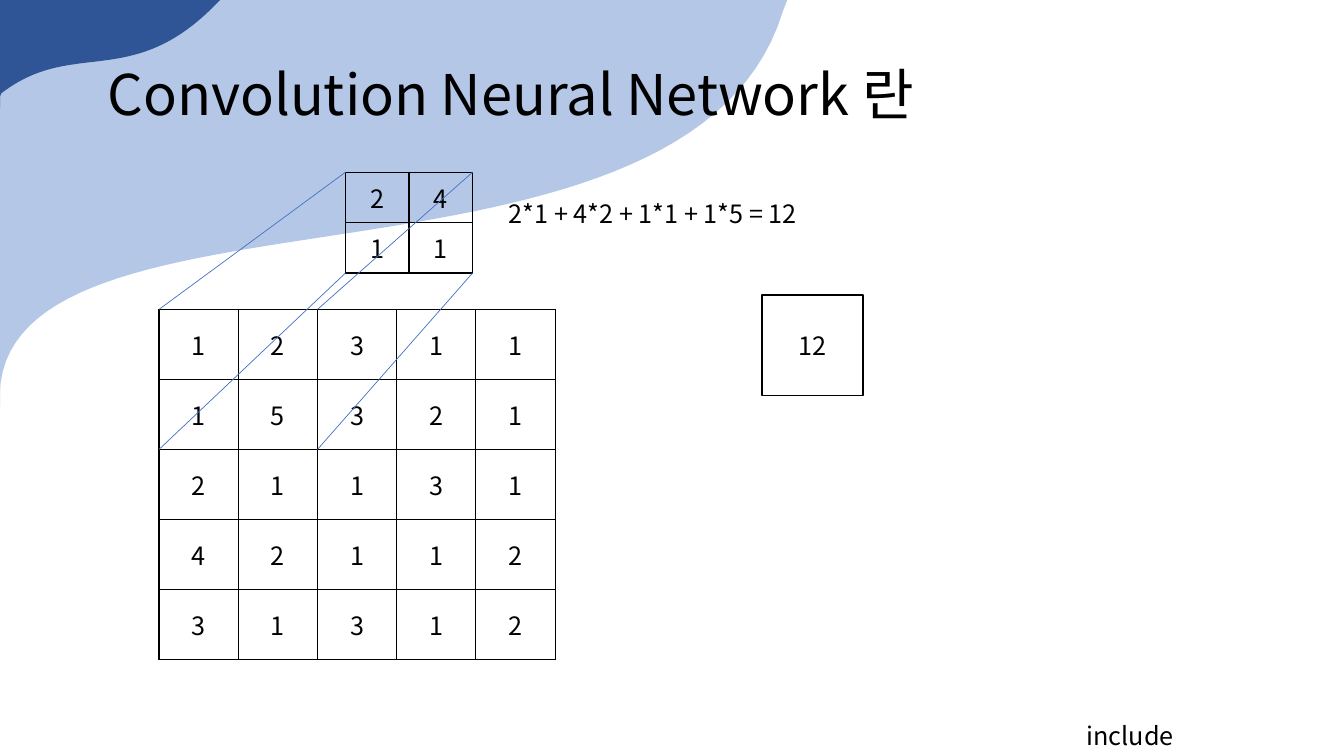
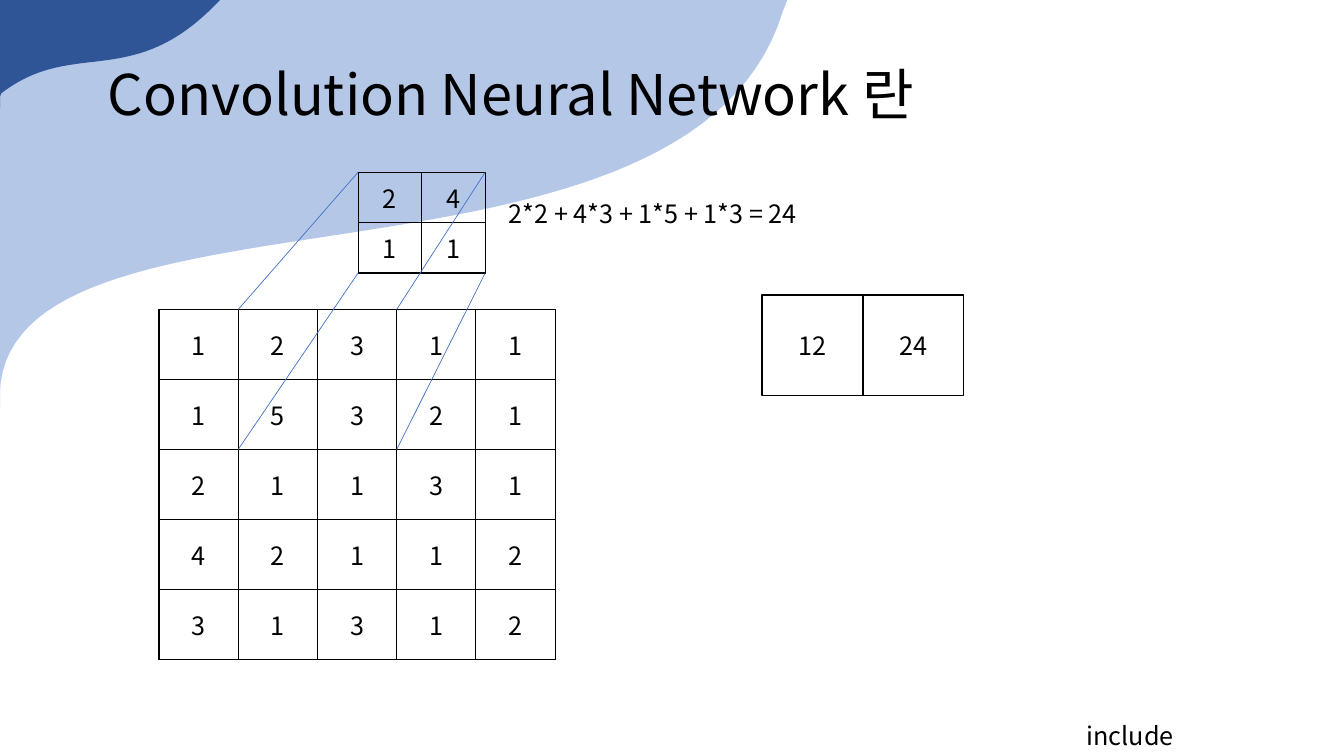
from itertools import product

from lxml import etree
from pptx import Presentation
from pptx.dml.color import RGBColor
from pptx.enum import shapes, text
from pptx.oxml import ns
from pptx.util import Pt

FONT = "Noto Sans CJK KR"
BLACK = RGBColor(0x00, 0x00, 0x00)
WHITE = RGBColor(0xFF, 0xFF, 0xFF)
LIGHT_BLUE = RGBColor(0xB4, 0xC7, 0xE7)
DARK_BLUE = RGBColor(0x2F, 0x55, 0x97)
LINE_BLUE = RGBColor(0x44, 0x72, 0xC4)

TITLE = "Convolution Neural Network 란"
FOOTER = "include"

# Corner waves: colour and the four Bézier points of the edge
WAVES = [
    (LIGHT_BLUE, [(562.3, -3.6), (508.3, 235.4), (-13, 110.2), (0, 290.2)]),
    (DARK_BLUE, [(164.2, -7.9), (93.6, 74.9), (49, 18), (-10.8, 77)]),
]
WAVE_STEPS = 60

INPUT = ["12311", "15321", "21131", "42112", "31312"]
INPUT_LEFT, INPUT_TOP, INPUT_W, INPUT_H = 113.6, 221, 56.6, 50
KERNEL = ["24", "11"]
KERNEL_TOP, KERNEL_W, KERNEL_H = 123, 45.4, 36
OUTPUT_LEFT, OUTPUT_TOP, OUTPUT_SIDE = 544.4, 210.6, 72

# First input column under the kernel, kernel left edge, equation, results so far
STEPS = [
    (0, 246.8, "2*1 + 4*2 + 1*1 + 1*5 = 12", ["12"]),
    (1, 255.8, "2*2 + 4*3 + 1*5 + 1*3 = 24", ["12", "24"]),
]


def write(frame, words, size=18, align=None):
    frame.text = words
    frame.word_wrap = True
    paragraph = frame.paragraphs[0]
    paragraph.alignment = align
    for run in paragraph.runs:
        run.font.size = Pt(size)
        run.font.name = FONT
        run.font.color.rgb = BLACK
        etree.SubElement(run.font._element, ns.qn("a:ea"), typeface=FONT)
    return paragraph


def add_matrix(slide, rows, left, top, cell_w, cell_h):
    """Add a table of digits with black borders and no fill."""
    n_rows, n_cols = len(rows), len(rows[0])
    matrix = slide.shapes.add_table(
        n_rows, n_cols, Pt(left), Pt(top), Pt(n_cols * cell_w), Pt(n_rows * cell_h)
    ).table
    matrix.first_row = matrix.horz_banding = False
    for column in matrix.columns:
        column.width = Pt(cell_w)
    for row in matrix.rows:
        row.height = Pt(cell_h)
    for r, c in product(range(n_rows), range(n_cols)):
        cell = matrix.cell(r, c)
        write(cell.text_frame, rows[r][c], align=text.PP_ALIGN.CENTER)
        cell.vertical_anchor = text.MSO_ANCHOR.MIDDLE
        cell.fill.background()
        properties = cell._tc.get_or_add_tcPr()
        for position, side in enumerate(("lnL", "lnR", "lnT", "lnB")):
            border = etree.Element(ns.qn("a:" + side), w=str(Pt(1)))
            fill = etree.SubElement(border, ns.qn("a:solidFill"))
            etree.SubElement(fill, ns.qn("a:srgbClr"), val=str(BLACK))
            properties.insert(position, border)


prs = Presentation()
prs.slide_width, prs.slide_height = Pt(960), Pt(540)

for first_column, kernel_left, equation, results in STEPS:
    slide = prs.slides.add_slide(prs.slide_layouts[6])

    footer = slide.shapes.add_textbox(Pt(769), Pt(511.2), Pt(191), Pt(28.8))
    write(footer.text_frame, FOOTER)

    for colour, (p0, p1, p2, p3) in WAVES:
        edge = []
        for step in range(WAVE_STEPS + 1):
            t = step / WAVE_STEPS
            edge.append([
                Pt(max(0, (1 - t) ** 3 * a + 3 * t * (1 - t) ** 2 * b
                       + 3 * t ** 2 * (1 - t) * c + t ** 3 * d))
                for a, b, c, d in zip(p0, p1, p2, p3)
            ])
        outline = slide.shapes.build_freeform(0, 0)
        outline.add_line_segments(edge, close=True)
        wave = outline.convert_to_shape()
        wave.shadow.inherit = False
        wave.fill.solid()
        wave.fill.fore_color.rgb = colour
        wave.line.fill.background()

    title = slide.shapes.add_textbox(Pt(69.8), Pt(44.6), Pt(816), Pt(72))
    heading = write(title.text_frame, TITLE, size=40)
    heading.line_spacing = 0.9
    heading.space_before = Pt(10)

    add_matrix(slide, INPUT, INPUT_LEFT, INPUT_TOP, INPUT_W, INPUT_H)
    add_matrix(slide, KERNEL, kernel_left, KERNEL_TOP, KERNEL_W, KERNEL_H)

    # Join each corner of the input window to the same corner of the kernel
    for column, row in product((0, 2), repeat=2):
        ray = slide.shapes.add_connector(
            shapes.MSO_CONNECTOR.STRAIGHT,
            Pt(INPUT_LEFT + (first_column + column) * INPUT_W),
            Pt(INPUT_TOP + row * INPUT_H),
            Pt(kernel_left + column * KERNEL_W),
            Pt(KERNEL_TOP + row * KERNEL_H),
        )
        ray.line.color.rgb = LINE_BLUE
        ray.line.width = Pt(0.5)
        etree.SubElement(ray._element.spPr, ns.qn("a:effectLst"))

    formula = slide.shapes.add_textbox(Pt(356.4), Pt(138.2), Pt(266.4), Pt(28.8))
    write(formula.text_frame, equation)

    for index, result in enumerate(results):
        square = slide.shapes.add_shape(
            shapes.MSO_SHAPE.RECTANGLE,
            Pt(OUTPUT_LEFT + index * OUTPUT_SIDE), Pt(OUTPUT_TOP),
            Pt(OUTPUT_SIDE), Pt(OUTPUT_SIDE),
        )
        square.shadow.inherit = False
        square.fill.solid()
        square.fill.fore_color.rgb = WHITE
        square.line.color.rgb = BLACK
        square.line.width = Pt(1)
        square.text_frame.vertical_anchor = text.MSO_ANCHOR.MIDDLE
        write(square.text_frame, result, align=text.PP_ALIGN.CENTER)

prs.save("out.pptx")
